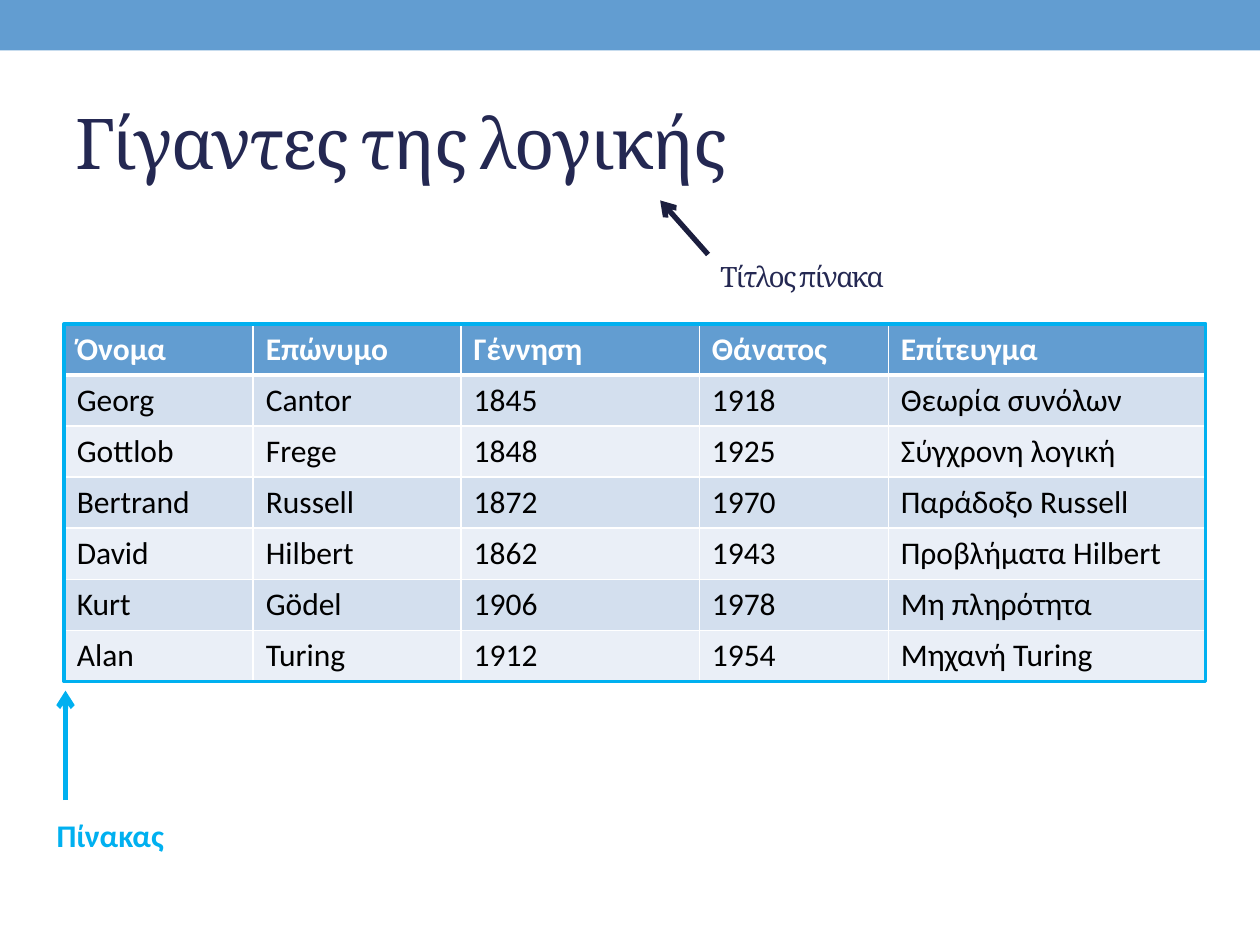
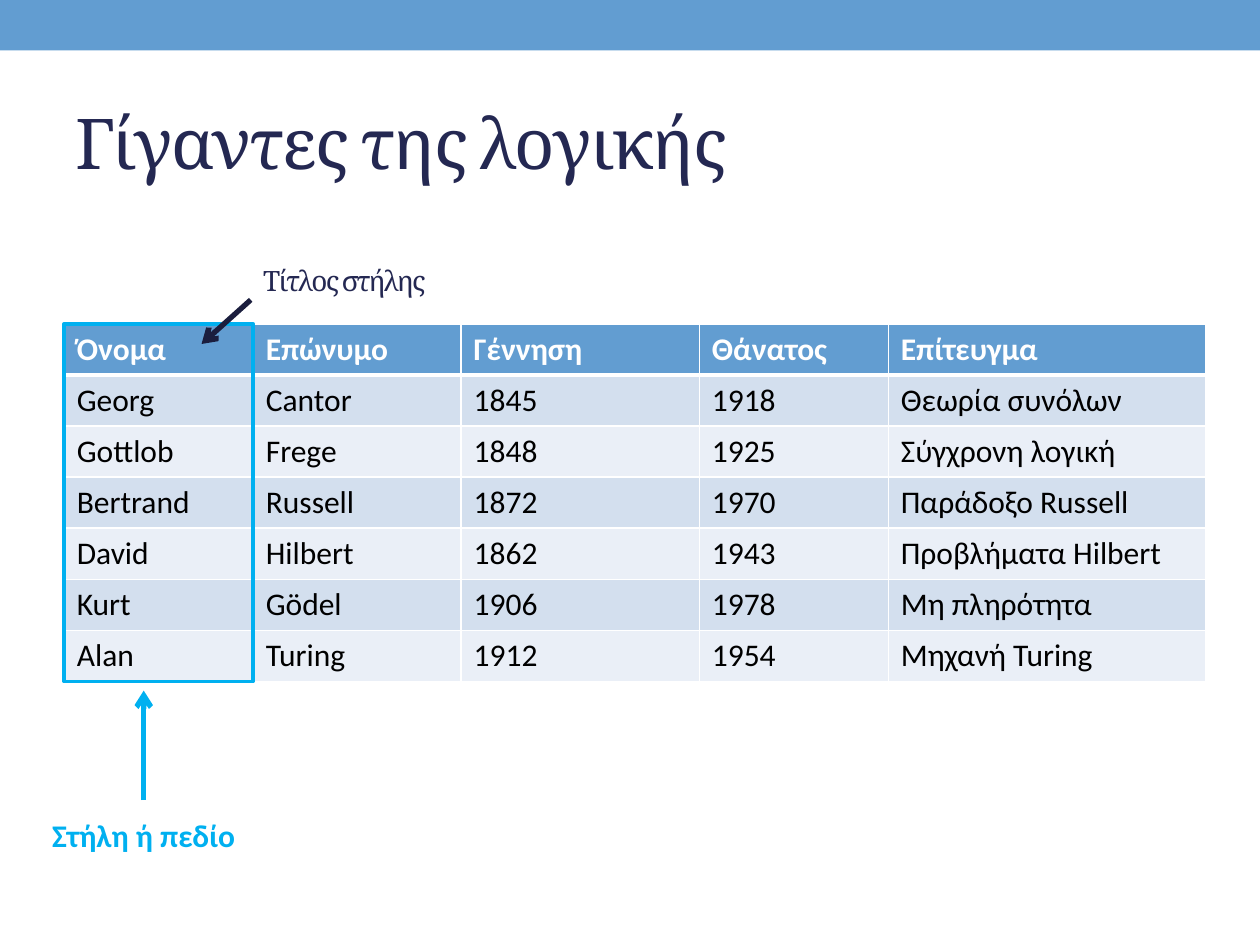
from lxml import etree
from pptx import Presentation
from pptx.dml.color import RGBColor
from pptx.enum import shapes, text
from pptx.oxml import ns
from pptx.util import Pt

HUES = {
    "band": "629DD1", "ink": "242852", "dark": "1B1E3E", "mark": "00B0F0",
    "odd": "D3DFEE", "even": "EAEFF7", "white": "FFFFFF", "black": "000000",
}
WIDE, HIGH = 720, 540
COLS = [108, 118.8, 136.1, 108, 181.4]
ROW = 29.2
GRID = (36.72, 185.04, sum(COLS), ROW * 7)
DATA = [
    ("Όνομα", "Επώνυμο", "Γέννηση", "Θάνατος", "Επίτευγμα"),
    ("Georg", "Cantor", "1845", "1918", "Θεωρία συνόλων"),
    ("Gottlob", "Frege", "1848", "1925", "Σύγχρονη λογική"),
    ("Bertrand", "Russell", "1872", "1970", "Παράδοξο Russell"),
    ("David", "Hilbert", "1862", "1943", "Προβλήματα Hilbert"),
    ("Kurt", "Gödel", "1906", "1978", "Μη πληρότητα"),
    ("Alan", "Turing", "1912", "1954", "Μηχανή Turing"),
]


def hue(name):
    return RGBColor.from_string(HUES[name])


def points(box):
    return [Pt(n) for n in box]


def add_run(par, words, size, font, tint, bold=False, tight=False):
    run = par.add_run()
    run.text = words
    run.font.size, run.font.name, run.font.bold = Pt(size), font, bold
    run.font.color.rgb = hue(tint)
    if tight:
        run.font._element.set("spc", "-100")


def add_label(slide, box, words, style, align="LEFT", anchor="TOP"):
    frame = slide.shapes.add_textbox(*points(box)).text_frame
    frame.word_wrap = True
    frame.vertical_anchor = getattr(text.MSO_ANCHOR, anchor)
    par = frame.paragraphs[0]
    par.alignment = getattr(text.PP_ALIGN, align)
    add_run(par, words, **style)


HEAD = dict(size=40, font="Cambria", tint="ink", tight=True)
NOTE = dict(HEAD, size=16)
TAG = dict(size=18, font="Calibri", tint="mark", bold=True)


def add_rect(slide, box, fill=None, line=None):
    rect = slide.shapes.add_shape(shapes.MSO_SHAPE.RECTANGLE, *points(box))
    rect.shadow.inherit = False
    if fill:
        rect.fill.solid()
        rect.fill.fore_color.rgb = hue(fill)
    else:
        rect.fill.background()
    if line:
        rect.line.color.rgb = hue(line)
        rect.line.width = Pt(2.08)
    else:
        rect.line.fill.background()


def add_arrow(slide, start, end, tint):
    arrow = slide.shapes.add_connector(
        shapes.MSO_CONNECTOR.STRAIGHT, *points(start + end))
    arrow.line.color.rgb = hue(tint)
    arrow.line.width = Pt(3)
    etree.SubElement(arrow.line._get_or_add_ln(), ns.qn("a:tailEnd"), type="arrow")
    etree.SubElement(arrow._element.spPr, ns.qn("a:effectLst"))


def add_edges(cell, top, base):
    props = cell._tc.get_or_add_tcPr()
    for spot, (side, width) in enumerate(zip("LRTB", (1, 1, top, base))):
        edge = etree.Element(ns.qn("a:ln" + side), w=str(Pt(width)))
        fill = etree.SubElement(edge, ns.qn("a:solidFill"))
        etree.SubElement(fill, ns.qn("a:srgbClr"), val=HUES["white"])
        props.insert(spot, edge)


# Top band and title
def add_frame(slide, box, title):
    left, top, width, _ = box
    add_rect(slide, (left, top, width, 28.8), fill="band")
    add_label(slide, (left + 36, top + 41.76, width - 72, 77.76),
              title, HEAD, anchor="MIDDLE")


# Table of names
def add_grid(slide, box):
    grid = slide.shapes.add_table(len(DATA), len(COLS), *points(box)).table
    for col, width in zip(grid.columns, COLS):
        col.width = Pt(width)
    for r, row in enumerate(DATA):
        grid.rows[r].height = Pt(box[3] / len(DATA))
        fill = "band" if r == 0 else "odd" if r % 2 else "even"
        for c, words in enumerate(row):
            cell = grid.cell(r, c)
            cell.fill.solid()
            cell.fill.fore_color.rgb = hue(fill)
            add_edges(cell, 3 if r == 1 else 1, 3 if r == 0 else 1)
            add_run(cell.text_frame.paragraphs[0], words, 18, "Calibri",
                    "black" if r else "white", bold=r == 0)


# Outline around a part of the table, with a tag and arrow below
def add_mark(slide, box, shift, tag, tag_left, tag_width, align):
    left, top, width, height = box
    add_rect(slide, box, line="mark")
    x, base = left + shift, top + height
    add_arrow(slide, (x, base + 67.8), (x, base + 5.2), "mark")
    add_label(slide, (left + tag_left, base + 73.6, tag_width, 28.8),
              tag, TAG, align)


# Note above the table, with an arrow to what it names
def add_note(slide, box, words, start, end):
    left, top = box[:2]
    add_arrow(slide, (left + start[0], top + start[1]),
              (left + end[0], top + end[1]), "dark")
    add_label(slide, box, words, NOTE)


def add_page(deck):
    slide = deck.slides.add_slide(deck.slide_layouts[6])
    add_frame(slide, (0, 0, WIDE, HIGH), "Γίγαντες της λογικής")
    add_grid(slide, GRID)
    return slide


def main():
    deck = Presentation()
    deck.slide_width, deck.slide_height = Pt(WIDE), Pt(HIGH)

    # The whole table
    slide = add_page(deck)
    add_mark(slide, GRID, 0.7, "Πίνακας", -11.5, 329, "LEFT")
    add_note(slide, (404.64, 144.72, 108, 26.64), "Τίτλος πίνακα",
             (0, 0.7), (-27.4, -30.2))

    # One column
    slide = add_page(deck)
    left, top, _, height = GRID
    add_mark(slide, (left, top, COLS[0], height), 45.4,
             "Στήλη ή πεδίο", -36.72, 164.2, "CENTER")
    add_note(slide, (143.28, 146.88, 108, 26.64), "Τίτλος στήλης",
             (0, 24.5), (-28.1, 49.7))

    deck.save("out.pptx")


if __name__ == "__main__":
    main()
